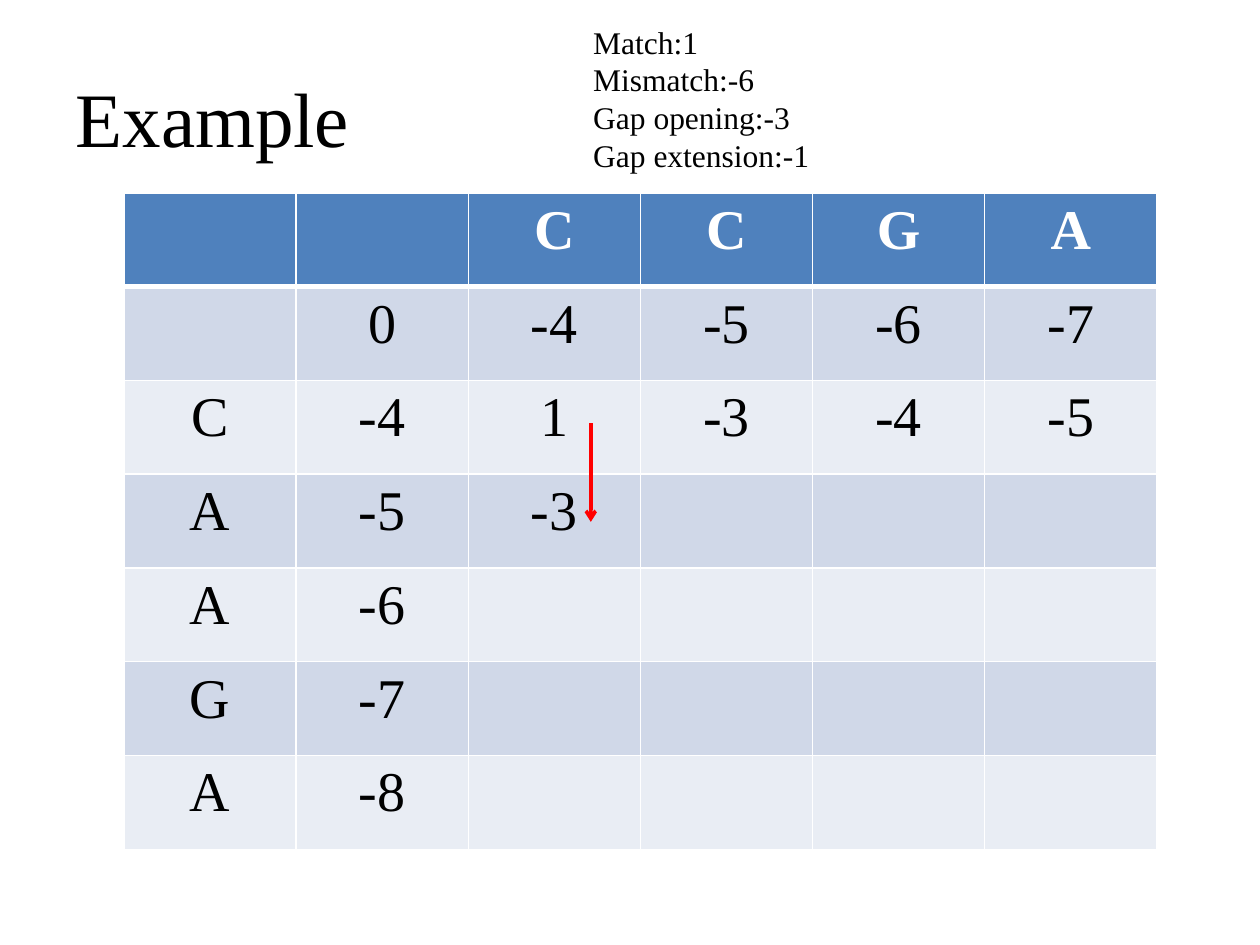
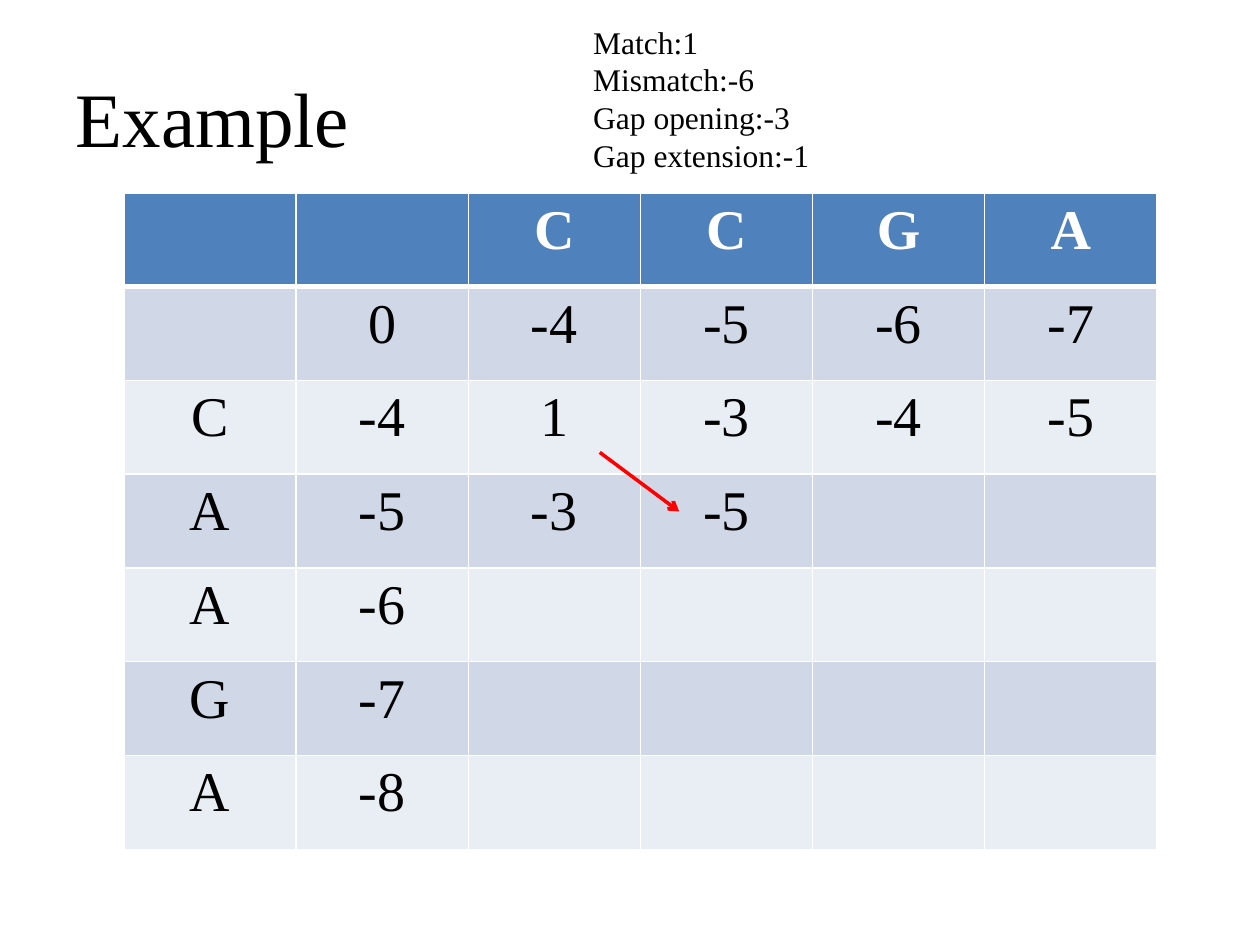
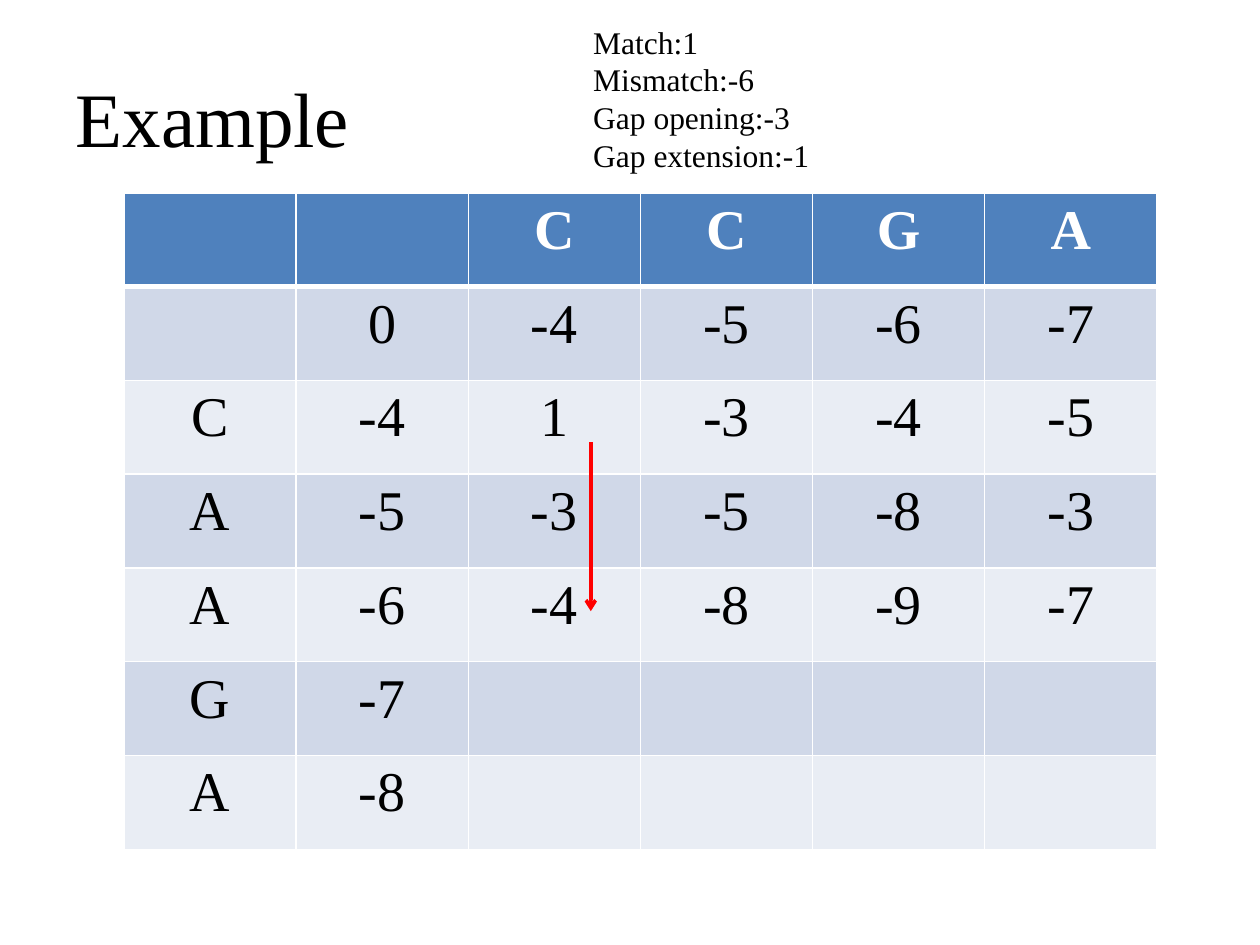
"""Build three slides that fill in an affine-gap alignment matrix step by step."""
from lxml.etree import SubElement
from pptx import Presentation
from pptx.dml.color import RGBColor
from pptx.enum.shapes import MSO_CONNECTOR
from pptx.enum.text import MSO_ANCHOR, MSO_AUTO_SIZE, PP_ALIGN
from pptx.oxml.ns import qn
from pptx.util import Cm, Pt

FONT = "Times New Roman"
BLACK = RGBColor(0x00, 0x00, 0x00)
WHITE = RGBColor(0xFF, 0xFF, 0xFF)
RED = RGBColor(0xFF, 0x00, 0x00)
HEADER_BLUE = RGBColor(0x4F, 0x81, 0xBD)
BAND_DARK = RGBColor(0xD0, 0xD8, 0xE8)
BAND_LIGHT = RGBColor(0xE9, 0xED, 0xF4)

TITLE_ONLY_LAYOUT = 5
COLUMN_WIDTH = Cm(3.47)
ROW_HEIGHT = Cm(1.89)
THIN = Pt(1)
THICK = Pt(3)

SCORING = ["Match:1", "Mismatch:-6", "Gap opening:-3", "Gap extension:-1"]
HEADER = ["", "", "C", "C", "G", "A"]
ROW_LETTERS = ["", "C", "A", "A", "G", "A"]
FIRST_SCORES = [[0, -4, -5, -6, -7], [-4, 1, -3, -4, -5]]
STEPS = [
    ([[-5, -3], [-6], [-7], [-8]], (11.91, 8.53), (11.91, 10.52)),
    ([[-5, -3, -5], [-6], [-7], [-8]], (12.09, 9.12), (13.69, 10.31)),
    ([[-5, -3, -5, -8, -3], [-6, -4, -8, -9, -7], [-7], [-8]],
     (11.91, 8.92), (11.91, 12.32)),
]


def style_paragraph(para, size, color=BLACK, bold=False, align=PP_ALIGN.LEFT):
    """Set the alignment and font of a paragraph."""
    para.alignment = align
    para.font.name = FONT
    para.font.size = Pt(size)
    para.font.bold = bold
    para.font.color.rgb = color


def add_title(page, text):
    """Place and fill the title placeholder."""
    title = page.shapes.title
    title.left, title.top = Cm(1.27), Cm(0.76)
    title.width, title.height = Cm(22.86), Cm(3.18)
    title.text_frame.vertical_anchor = MSO_ANCHOR.MIDDLE
    title.text_frame.text = text
    style_paragraph(title.text_frame.paragraphs[0], 44)


def add_scoring(page):
    """Add the list of scoring parameters."""
    box = page.shapes.add_textbox(Cm(11.71), Cm(0.33), Cm(4.9), Cm(3.33))
    frame = box.text_frame
    frame.word_wrap = False
    frame.auto_size = MSO_AUTO_SIZE.SHAPE_TO_FIT_TEXT
    frame.text = "\n".join(SCORING)
    for para in frame.paragraphs:
        style_paragraph(para, 18)


def set_borders(cell, top, bottom):
    """Draw white borders around a cell."""
    properties = cell._tc.get_or_add_tcPr()
    widths = {"a:lnL": THIN, "a:lnR": THIN, "a:lnT": top, "a:lnB": bottom}
    for tag, width in widths.items():
        line = SubElement(properties, qn(tag), w=str(int(width)))
        fill = SubElement(line, qn("a:solidFill"))
        SubElement(fill, qn("a:srgbClr"), val=str(WHITE))


def format_cell(cell, row_index, value):
    """Write a value and apply the look of its row."""
    is_header = row_index == 0
    set_borders(cell, THICK if row_index == 1 else THIN, THICK if is_header else THIN)
    cell.fill.solid()
    band = BAND_DARK if row_index % 2 else BAND_LIGHT
    cell.fill.fore_color.rgb = HEADER_BLUE if is_header else band
    cell.text = str(value)
    color = WHITE if is_header else BLACK
    style_paragraph(cell.text_frame.paragraphs[0], 32, color, is_header, PP_ALIGN.CENTER)


def add_matrix(page, scores):
    """Add the alignment matrix, leaving unknown scores empty."""
    rows = [HEADER] + [[letter, *known] for letter, known in zip(ROW_LETTERS, scores)]
    table = page.shapes.add_table(
        len(rows), len(HEADER), Cm(2.5), Cm(3.89),
        COLUMN_WIDTH * len(HEADER), ROW_HEIGHT * len(rows)).table
    for column in table.columns:
        column.width = COLUMN_WIDTH
    for row_index, values in enumerate(rows):
        table.rows[row_index].height = ROW_HEIGHT
        padded = values + [""] * (len(HEADER) - len(values))
        for column_index, value in enumerate(padded):
            format_cell(table.cell(row_index, column_index), row_index, value)


def add_arrow(page, start, end):
    """Add a red arrow between two points given in centimetres."""
    ends = [Cm(length) for length in (*start, *end)]
    arrow = page.shapes.add_connector(MSO_CONNECTOR.STRAIGHT, *ends)
    arrow.line.color.rgb = RED
    arrow.line.width = Pt(2)
    properties = arrow._element.spPr
    SubElement(properties.find(qn("a:ln")), qn("a:tailEnd"), type="arrow")
    SubElement(properties, qn("a:effectLst"))


def main():
    """Build and save the deck."""
    deck = Presentation()
    deck.slide_width, deck.slide_height = Cm(25.4), Cm(19.05)
    for later_scores, start, end in STEPS:
        page = deck.slides.add_slide(deck.slide_layouts[TITLE_ONLY_LAYOUT])
        add_title(page, "Example")
        add_matrix(page, FIRST_SCORES + later_scores)
        add_scoring(page)
        add_arrow(page, start, end)
    deck.save("out.pptx")


if __name__ == "__main__":
    main()
